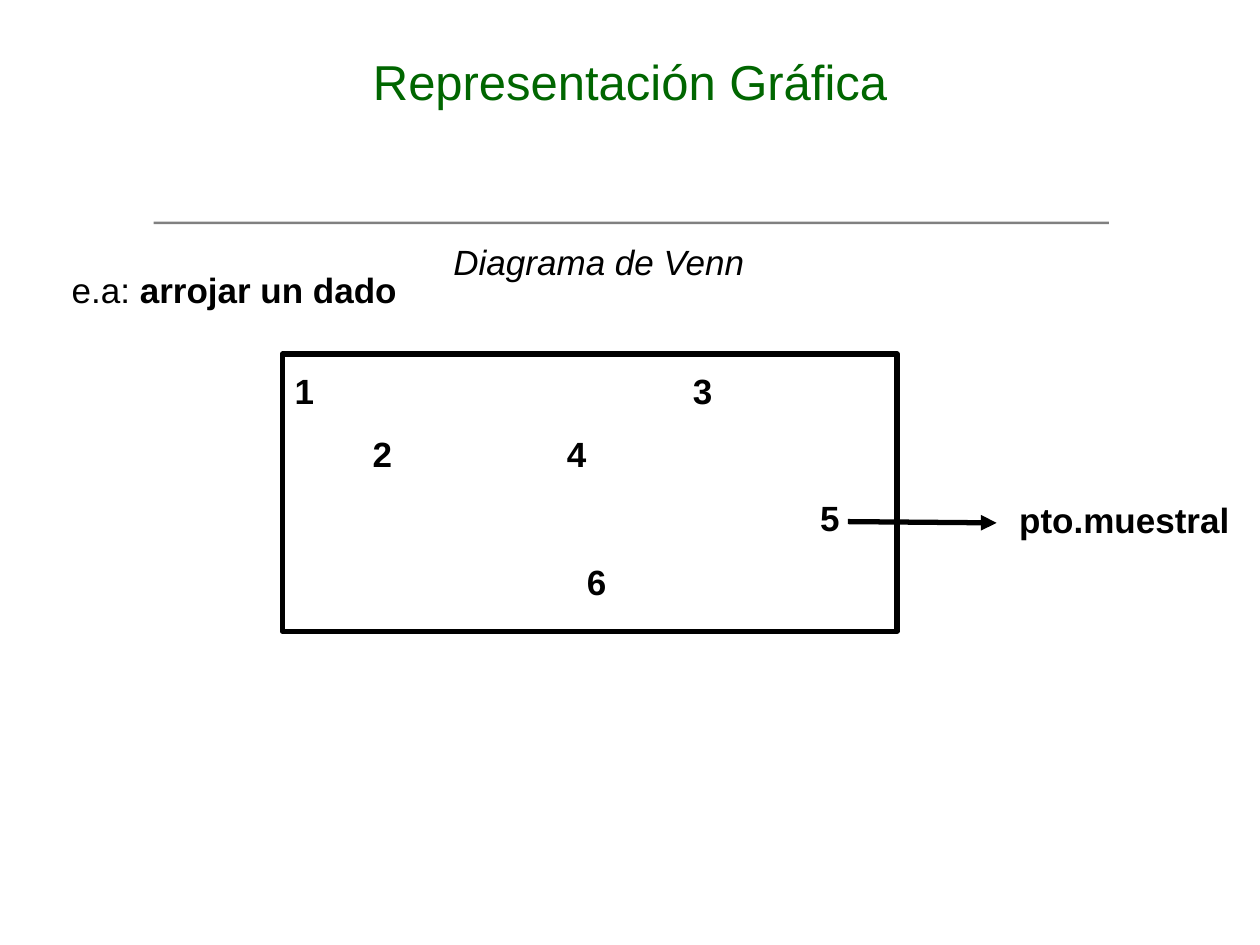
"""Build the slide showing the sample space of a die roll as a Venn diagram."""
from dataclasses import dataclass

from lxml import etree
from pptx import Presentation
from pptx import util as u
from pptx.dml.color import RGBColor
from pptx.enum import shapes, text
from pptx.oxml.ns import qn


@dataclass(frozen=True)
class Theme:
    font: str = "Arial"
    title_color: str = "006600"
    ink: str = "000000"
    rule: str = "808080"
    title_size: float = 28
    body_size: float = 20
    line_width: float = 3
    row_gap: float = 12.5


@dataclass(frozen=True)
class Span:
    words: str
    bold: bool = False
    italic: bool = False


@dataclass(frozen=True)
class Row:
    spans: tuple[Span, ...]
    tabs: tuple[float, ...] = ()


@dataclass(frozen=True)
class Label:
    place: tuple[float, float, float, float]
    rows: tuple[Row, ...]


THEME = Theme()
TITLE = Label((0.5, 0.21, 9, 0.87), (Row((Span("Representación Gráfica"),)),))
LABELS = (
    Label((2.24, 2.88, 4.73, 1.96), (
        Row((Span("1\t3", bold=True),), (3.16,)),
        Row((Span("\t2\t4", bold=True),), (0.62, 2.16)),
        Row((Span("\t5", bold=True),), (4.17,)),
        Row((Span("\t6", bold=True),), (2.32,)),
    )),
    Label((0.47, 2.08, 4.72, 0.44), (Row((Span("e.a:"), Span(" arrojar un dado", bold=True))),)),
    Label((7.99, 3.91, 2.01, 0.44), (Row((Span("pto.muestral", bold=True),)),)),
    Label((3.5, 1.86, 4.72, 0.44), (Row((Span("Diagrama de Venn", italic=True),)),)),
)


def apply(target, values: dict) -> None:
    for name, value in values.items():
        setattr(target, name, value)


def add_tabs(para, stops: tuple[float, ...]) -> None:
    tab_list = etree.SubElement(para._p.get_or_add_pPr(), qn("a:tabLst"))
    for stop in stops:
        etree.SubElement(tab_list, qn("a:tab"), pos=str(u.Inches(stop)), algn="l")


def add_label(page, label: Label, size: float, color: str, frame_format: dict, align) -> None:
    box = page.shapes.add_textbox(*map(u.Inches, label.place))
    frame = box.text_frame
    apply(frame, {"word_wrap": True, **frame_format})
    for index, row in enumerate(label.rows):
        para = frame.add_paragraph() if index else frame.paragraphs[0]
        para.alignment = align
        if index:
            para.space_before = u.Pt(THEME.row_gap)
        if row.tabs:
            add_tabs(para, row.tabs)
        for span in row.spans:
            run = para.add_run()
            run.text = span.words
            apply(run.font, {"name": THEME.font, "size": u.Pt(size),
                             "bold": span.bold, "italic": span.italic})
            run.font.color.rgb = RGBColor.from_string(color)


def add_rectangle(page, place: tuple[float, float, float, float]):
    shape = page.shapes.add_shape(shapes.MSO_SHAPE.RECTANGLE, *map(u.Inches, place))
    shape.shadow.inherit = False
    return shape


def draw_line(line) -> None:
    line.color.rgb = RGBColor.from_string(THEME.ink)
    line.width = u.Pt(THEME.line_width)


def add_arrow(page, start: tuple[float, float], end: tuple[float, float]) -> None:
    arrow = page.shapes.add_connector(shapes.MSO_CONNECTOR.STRAIGHT, *map(u.Inches, start + end))
    draw_line(arrow.line)
    etree.SubElement(arrow.line._get_or_add_ln(), qn("a:tailEnd"), type="triangle")
    etree.SubElement(arrow._element.spPr, qn("a:effectLst"))


def main() -> None:
    deck = Presentation()
    apply(deck, {"slide_width": u.Inches(10), "slide_height": u.Inches(7.5)})
    page = deck.slides.add_slide(deck.slide_layouts[6])

    rule = add_rectangle(page, (1.22, 1.76, 7.58, 0.02))
    rule.fill.solid()
    rule.fill.fore_color.rgb = RGBColor.from_string(THEME.rule)
    rule.line.fill.background()

    margins = dict.fromkeys(("margin_left", "margin_top", "margin_right", "margin_bottom"), 0)
    title_format = {"vertical_anchor": text.MSO_ANCHOR.MIDDLE, **margins}
    add_label(page, TITLE, THEME.title_size, THEME.title_color, title_format, text.PP_ALIGN.CENTER)

    sample_space = add_rectangle(page, (2.24, 2.81, 4.88, 2.2))
    sample_space.fill.background()
    draw_line(sample_space.line)

    body_format = {"auto_size": text.MSO_AUTO_SIZE.SHAPE_TO_FIT_TEXT}
    for label in LABELS:
        add_label(page, label, THEME.body_size, THEME.ink, body_format, text.PP_ALIGN.LEFT)
    add_arrow(page, (6.73, 4.14), (7.91, 4.15))

    deck.save("out.pptx")


if __name__ == "__main__":
    main()
